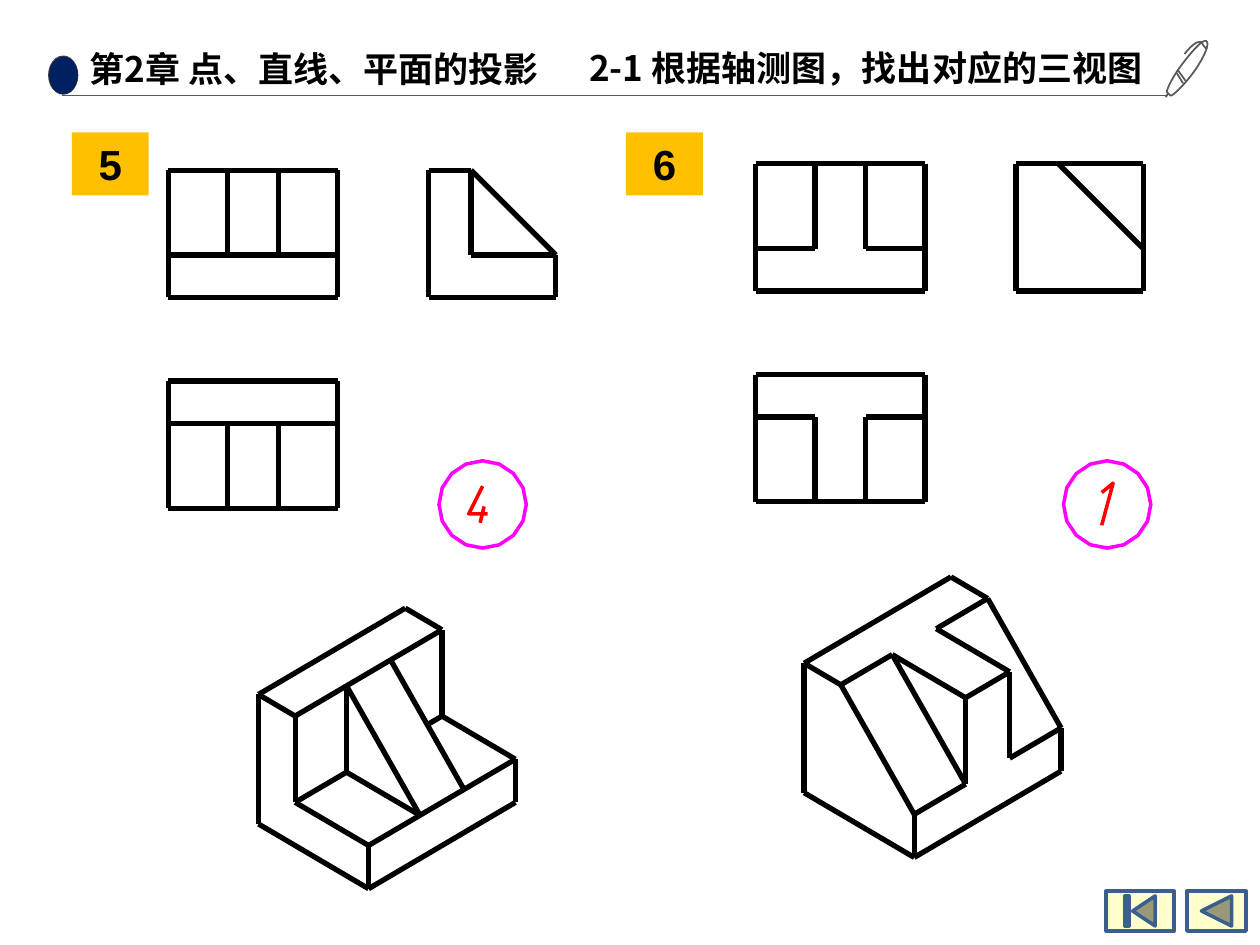
from dataclasses import dataclass
from math import cos, pi, sin

from lxml import etree
from pptx import Presentation
from pptx.dml.color import RGBColor
from pptx.enum.shapes import MSO_CONNECTOR, MSO_SHAPE
from pptx.enum.text import MSO_AUTO_SIZE, PP_ALIGN
from pptx.oxml.ns import qn
from pptx.util import Cm, Pt

STRAIGHT = MSO_CONNECTOR.STRAIGHT
OVAL, RECT = MSO_SHAPE.OVAL, MSO_SHAPE.RECTANGLE
BTN_FIRST = MSO_SHAPE.ACTION_BUTTON_BEGINNING
BTN_BACK = MSO_SHAPE.ACTION_BUTTON_BACK_OR_PREVIOUS

BLACK = RGBColor(0x00, 0x00, 0x00)
GREY = RGBColor(0x59, 0x59, 0x59)
DARK = RGBColor(0x40, 0x40, 0x40)
NAVY = RGBColor(0x00, 0x20, 0x60)
AMBER = RGBColor(0xFF, 0xC0, 0x00)
CREAM = RGBColor(0xFF, 0xFF, 0xCC)
STEEL = RGBColor(0x3A, 0x5F, 0x8C)
MAGENTA = RGBColor(0xFF, 0x00, 0xFF)
RED = RGBColor(0xFF, 0x00, 0x00)

HEAD_FONT, LABEL_FONT = "Noto Sans CJK SC", "Arial"

Point = tuple[float, float]
Path = list[Point]
Solid = list[tuple[float, float, float]]

# All lengths in cm; one model unit per grid step
UNIT = 0.855
SIDE_DX, TOP_DY = 5.25, 4.25
ISO_DX, ISO_DY, ISO_UP = 0.74, 0.435, 0.87
W, D, H = 4, 3, 3          # model width, depth, height
RIB_L, RIB_R = 1.4, 2.6    # sides of the middle rib


@dataclass
class Exercise:
    label: str
    label_x: float
    views_at: Point
    front: list[Path]
    side: list[Path]
    top: list[Path]
    iso_at: Point
    iso: list[Solid]       # (width, depth, height) paths
    answer_at: Point
    digit: list[Path]      # relative to the circle centre


def box(w: float, h: float) -> Path:
    return [(0, 0), (w, 0), (w, h), (0, h), (0, 0)]


EXERCISES = [
    Exercise(
        "5", 1.45, (3.39, 3.43),
        [box(W, H), [(0, 2), (W, 2)], [(RIB_L, 0), (RIB_L, 2)], [(RIB_R, 0), (RIB_R, 2)]],
        [[(0, 0), (1, 0), (1, 2), (3, 2), (3, 3), (0, 3), (0, 0)], [(1, 0), (3, 2)]],
        [box(W, D), [(0, 1), (W, 1)], [(RIB_L, 1), (RIB_L, D)], [(RIB_R, 1), (RIB_R, D)]],
        (5.21, 16.61),
        [[(0, 0, 0), (0, 0, H), (W, 0, H), (W, 1, H), (0, 1, H), (0, 0, H)],
         [(0, 0, 0), (0, D, 0), (W, D, 0), (W, D, 1), (0, D, 1), (0, D, 0)],
         [(0, 1, H), (0, 1, 1), (0, D, 1)],
         [(0, 1, 1), (RIB_L, 1, 1), (RIB_L, 1, H), (RIB_L, D, 1), (RIB_L, 1, 1)],
         [(RIB_R, 1, H), (RIB_R, D, 1)],
         [(W, 1, H), (W, 1, 1), (W, D, 1)],
         [(W, 1, 1), (3.6, 1, 1)]],
        (9.73, 10.17),
        [[(0, -0.37), (-0.28, 0.19), (0.1, 0.19)], [(0.03, 0.04), (-0.05, 0.37)]],
    ),
    Exercise(
        "6", 12.62, (15.23, 3.3),
        [box(W, H), [(0, 2), (RIB_L, 2), (RIB_L, 0)], [(W, 2), (RIB_R, 2), (RIB_R, 0)]],
        [box(D, H), [(1, 0), (3, 2)]],
        [box(W, D), [(0, 1), (RIB_L, 1), (RIB_L, D)], [(W, 1), (RIB_R, 1), (RIB_R, D)]],
        (16.21, 15.98),
        [[(0, 0, 0), (0, 0, H), (W, 0, H), (W, 1, H), (W, D, 1), (W, D, 0), (0, D, 0), (0, 0, 0)],
         [(0, 0, H), (0, 1, H), (0, D, 1), (0, D, 0)],
         [(0, 1, H), (RIB_L, 1, H), (RIB_L, D, 1), (0, D, 1)],
         [(RIB_L, 1, H), (RIB_L, D, H), (RIB_L, D, 1)],
         [(RIB_L, D, H), (RIB_R, D, H), (RIB_R, D, 1), (W, D, 1)],
         [(RIB_R, D, H), (RIB_R, 1, H), (W, 1, H)]],
        (22.32, 10.17),
        [[(-0.11, 0.42), (0.12, -0.43), (-0.11, -0.24)]],
    ),
]


def add_line(shapes, a: Point, b: Point, color: RGBColor, width: float) -> None:
    sp = shapes.add_connector(STRAIGHT, Cm(a[0]), Cm(a[1]), Cm(b[0]), Cm(b[1]))
    sp.line.color.rgb = color
    sp.line.width = Pt(width)
    etree.SubElement(sp._element.spPr, qn("a:effectLst"))


def add_edges(shapes, paths: list[Path]) -> None:
    for path in paths:
        for a, b in zip(path, path[1:]):
            add_line(shapes, a, b, BLACK, 3)


def add_outline(shapes, paths: list[Path], color: RGBColor, width: float) -> None:
    (x, y), *_ = paths[0]
    fb = shapes.build_freeform(Cm(x), Cm(y), scale=1.0)
    for i, path in enumerate(paths):
        pts = [(Cm(px), Cm(py)) for px, py in path]
        if i:
            fb.move_to(*pts[0])
        fb.add_line_segments(pts[1:], close=path[0] == path[-1])
    sp = fb.convert_to_shape()
    sp.shadow.inherit = False
    sp.fill.background()
    sp.line.color.rgb = color
    sp.line.width = Pt(width)


def add_block(shapes, kind, x, y, w, h, fill: RGBColor, line: RGBColor | None = None):
    sp = shapes.add_shape(kind, Cm(x), Cm(y), Cm(w), Cm(h))
    sp.shadow.inherit = False
    sp.fill.solid()
    sp.fill.fore_color.rgb = fill
    if line is None:
        sp.line.fill.background()
    else:
        sp.line.color.rgb = line
        sp.line.width = Pt(2)
    return sp


def set_text(sp, text: str, size: float, font: str) -> None:
    p = sp.text_frame.paragraphs[0]
    p.text = text
    for r in p.runs:
        r.font.size, r.font.bold, r.font.name = Pt(size), True, font
        r.font.color.rgb = BLACK
        etree.SubElement(r.font._element, qn("a:ea")).set("typeface", font)


def add_heading(shapes, text: str, x, y, w, h, inset_x, inset_y) -> None:
    sp = shapes.add_textbox(Cm(x), Cm(y), Cm(w), Cm(h))
    tf = sp.text_frame
    tf.auto_size = MSO_AUTO_SIZE.SHAPE_TO_FIT_TEXT
    tf.margin_left = tf.margin_right = Cm(inset_x)
    tf.margin_top = tf.margin_bottom = Cm(inset_y)
    set_text(sp, text, 20, HEAD_FONT)


def curve(start: Point, *segments: tuple[Point, Point, Point], steps: int = 12) -> Path:
    """Points along joined cubic curves."""
    pts = [start]
    for c1, c2, end in segments:
        p0 = pts[-1]
        for i in range(1, steps):
            t = i / steps
            u = 1 - t
            pts.append(tuple(u**3 * a + 3 * u * u * t * b + 3 * u * t * t * c + t**3 * d
                             for a, b, c, d in zip(p0, c1, c2, end)))
        pts.append(end)
    return pts


def shift(paths: list[Path], x: float, y: float, scale: float = 1) -> list[Path]:
    return [[(x + scale * px, y + scale * py) for px, py in path] for path in paths]


def project(path: Solid, x: float, y: float) -> Path:
    return [(x + (w + d) * ISO_DX, y + (d - w) * ISO_DY - h * ISO_UP) for w, d, h in path]


def draw_header(shapes) -> None:
    add_block(shapes, OVAL, 0.97, 1.12, 0.61, 0.79, DARK)
    add_block(shapes, OVAL, 0.99, 1.14, 0.58, 0.76, NAVY)
    add_heading(shapes, "第2章 点、直线、平面的投影", 1.63, 0.86, 10.34, 1.04, 0.18, 0.1)
    add_line(shapes, (1.24, 1.93), (23.55, 1.93), GREY, 0.75)
    # Pen: ring, body, tip and clip
    body = curve((24.33, 0.84), ((24.28, 0.76), (24.08, 0.97), (23.85, 1.27)),
                 ((23.67, 1.5), (23.55, 1.73), (23.52, 1.85)))
    body += curve((23.6, 1.93), ((23.67, 1.91), (23.85, 1.73), (24.03, 1.5)),
                  ((24.26, 1.19), (24.38, 0.91), (24.33, 0.84)))
    clip = curve((24.33, 0.99), ((24.33, 0.99), (24.26, 0.94), (24.23, 0.86)),
                 ((24.23, 0.86), (24.13, 0.76), (23.88, 1.09)))
    add_outline(shapes, [[(23.85, 1.68), (23.72, 1.47)], [(23.75, 1.42), (23.9, 1.63)],
                         body, [(23.55, 1.88), (23.5, 1.96)], clip], GREY, 1)
    add_heading(shapes, "2-1 根据轴测图，找出对应的三视图", 11.63, 0.81, 12.04, 1.12, 0.25, 0.13)


def draw_exercise(shapes, ex: Exercise) -> None:
    # Answer: sixteen-sided ring around a stroked digit
    answer = shapes.add_group_shape().shapes
    ring = [(0.88 * cos(k * pi / 8), 0.88 * sin(k * pi / 8)) for k in range(16)]
    add_outline(answer, shift([ring + ring[:1]], *ex.answer_at), MAGENTA, 2)
    for stroke in shift(ex.digit, *ex.answer_at):
        add_outline(answer, [stroke], RED, 2)
    # Three views
    x, y = ex.views_at
    views = shapes.add_group_shape().shapes
    for paths, dx, dy in ((ex.front, 0, 0), (ex.side, SIDE_DX, 0), (ex.top, 0, TOP_DY)):
        add_edges(views, shift(paths, x + dx, y + dy, UNIT))
    # Isometric solid
    add_edges(shapes.add_group_shape().shapes, [project(path, *ex.iso_at) for path in ex.iso])
    # Number
    sp = add_block(shapes, RECT, ex.label_x, 2.67, 1.55, 1.27, AMBER)
    set_text(sp, ex.label, 24, LABEL_FONT)
    sp.text_frame.paragraphs[0].alignment = PP_ALIGN.CENTER


def main() -> None:
    prs = Presentation()
    prs.slide_width, prs.slide_height = Cm(25.4), Cm(19.05)
    shapes = prs.slides.add_slide(prs.slide_layouts[6]).shapes
    draw_header(shapes)
    for kind, x, w in ((BTN_FIRST, 22.3, 1.37), (BTN_BACK, 23.93, 1.19)):
        add_block(shapes, kind, x, 17.96, w, 0.81, CREAM, STEEL)
    for ex in EXERCISES:
        draw_exercise(shapes, ex)
    prs.save("out.pptx")


if __name__ == "__main__":
    main()
